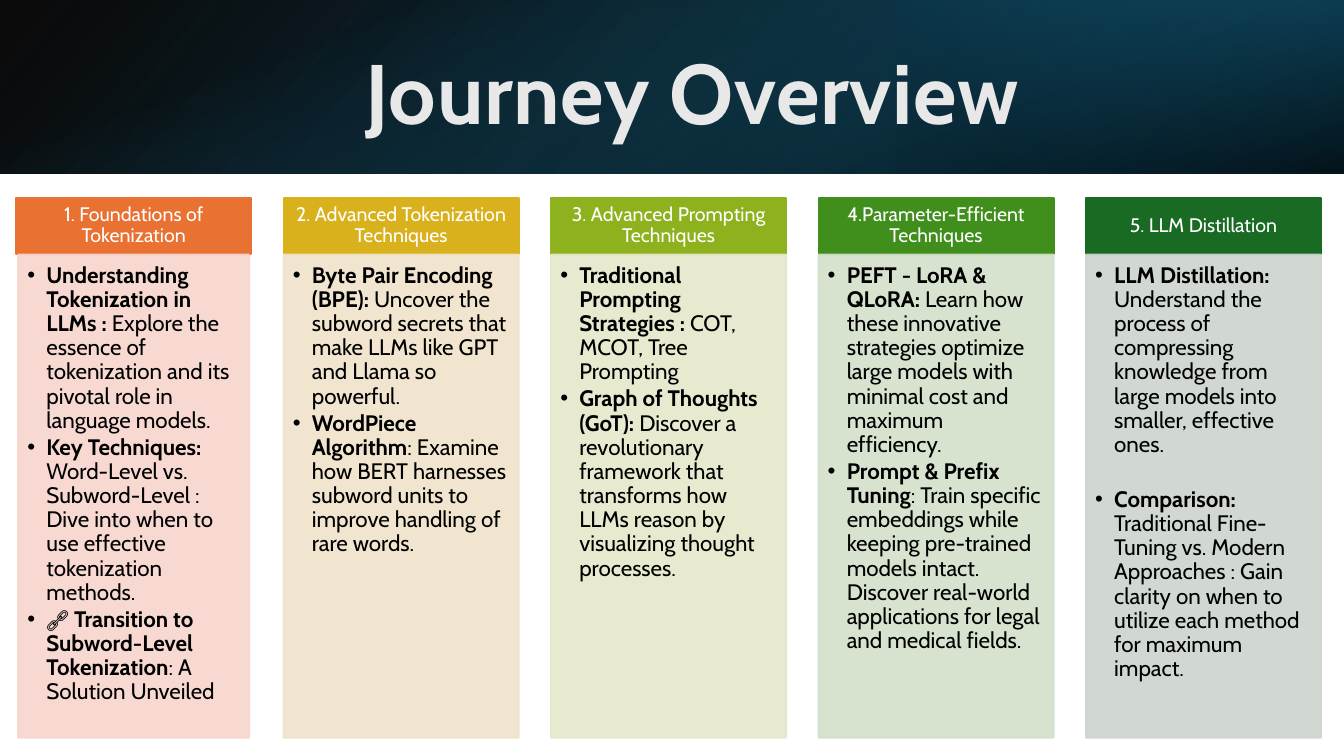
from lxml.etree import SubElement
from pptx import Presentation
from pptx.dml.color import RGBColor as RGB
from pptx.enum.shapes import MSO_SHAPE as SHAPE
from pptx.enum.text import MSO_ANCHOR as ANCHOR, MSO_AUTO_SIZE as AUTO_SIZE, PP_ALIGN as ALIGN
from pptx.oxml.ns import qn
from pptx.util import Cm, Pt

TITLE = "Journey Overview"

# heading, heading colour, body colour, body inset (cm), bullets as (bold lead, rest)
COLUMNS = [
    ("1. Foundations of Tokenization", "E97132", "F7D5CE", 0.05, [
        ("Understanding Tokenization in LLMs : ",
         "Explore the essence of tokenization and its pivotal role in language models."),
        ("Key Techniques: ",
         "Word-Level vs. Subword-Level : Dive into when to use effective tokenization methods."),
        ("🔗 Transition to Subword-Level Tokenization", ": A Solution Unveiled"),
    ]),
    ("2. Advanced Tokenization Techniques", "D8B11D", "F0E3CB", 0, [
        ("Byte Pair Encoding (BPE): ",
         "Uncover the subword secrets that make LLMs like GPT and Llama so powerful."),
        ("WordPiece Algorithm",
         ": Examine how BERT harnesses subword units to improve handling of rare words."),
    ]),
    ("3. Advanced Prompting Techniques", "8EB21E", "E5E8CA", 0, [
        ("Traditional Prompting Strategies : ", "COT, MCOT, Tree Prompting"),
        ("Graph of Thoughts (GoT): ",
         "Discover a revolutionary framework that transforms how LLMs reason "
         "by visualizing thought processes."),
    ]),
    ("4.Parameter-Efficient Techniques", "408E1C", "D3DFCA", 0, [
        ("PEFT - LoRA & QLoRA: ",
         "Learn how these innovative strategies optimize large models "
         "with minimal cost and maximum efficiency."),
        ("Prompt & Prefix Tuning",
         ": Train specific embeddings while keeping pre-trained models intact. "
         "Discover real-world applications for legal and medical fields."),
    ]),
    ("5. LLM Distillation", "196B24", "CCD4CD", 0, [
        ("LLM Distillation: ",
         "Understand the process of compressing knowledge from large models "
         "into smaller, effective ones."),
        ("Comparison: ",
         "Traditional Fine-Tuning vs. Modern Approaches : Gain clarity on when "
         "to utilize each method for maximum impact."),
    ]),
]
SPACED_BULLET = "Comparison: "

# left, width (cm), clockwise angle, stops as (position %, colour, opacity %)
BANNER_LAYERS = [
    (0, 33.87, 40, [(0, "000000", 96), (100, "104862", 100)]),
    (22.58, 11.29, 320, [(19, "0B3041", 68), (100, "156082", 79)]),
    (0, 33.87, 70, [(23, "156082", 0), (99, "000000", 74)]),
]


class Theme:
    font = "Cabin"
    title_color, heading_color, body_color = "E8E8E8", "FFFFFF", "000000"
    title_size, heading_size, body_size = 60.3, 14, 16
    body_opacity = 90
    outline = 1.5


BANNER_HEIGHT = 4.37
FIRST_LEFT, PITCH, COLUMN_WIDTH = 0.41, 6.74, 5.92
HEADING_TOP, HEADING_HEIGHT = 4.98, 1.42
BODY_TOP, BODY_HEIGHT = 6.42, 12.17
INDENT = 0.48


def set_opacity(element, percents):
    """Give the colours inside the element these opacities, in order."""
    for color, percent in zip(element.iter(qn("a:srgbClr")), percents):
        SubElement(color, qn("a:alpha")).set("val", str(percent * 1000))


def add_rectangle(slide, left, top, width, height):
    box = slide.shapes.add_shape(
        SHAPE.RECTANGLE, Cm(left), Cm(top), Cm(width), Cm(height))
    box.shadow.inherit = False
    return box


def add_banner_layer(slide, left, width, angle, stops):
    box = add_rectangle(slide, left, 0, width, BANNER_HEIGHT)
    box.line.fill.background()
    box.fill.gradient()
    box.fill.gradient_angle = 360 - angle
    for stop, (position, color, _) in zip(box.fill.gradient_stops, stops):
        stop.position = position / 100
        stop.color.rgb = RGB.from_string(color)
    set_opacity(box._element.spPr, [opacity for _, _, opacity in stops])


def add_panel(slide, place, color, opacity=100):
    box = add_rectangle(slide, *place)
    box.fill.solid()
    box.fill.fore_color.rgb = RGB.from_string(color)
    box.line.color.rgb = RGB.from_string(color)
    box.line.width = Pt(Theme.outline)
    if opacity < 100:
        set_opacity(box._element.spPr, [opacity, opacity])
    return box


def set_frame(frame, anchor, insets):
    """Set the wrap, anchor and left, top, right and bottom insets in cm."""
    values = {"word_wrap": True, "auto_size": AUTO_SIZE.NONE, "vertical_anchor": anchor}
    for side, inset in zip(("left", "top", "right", "bottom"), insets):
        values["margin_" + side] = Cm(inset)
    for name, value in values.items():
        setattr(frame, name, value)


def add_span(para, text, size, color, bold=False):
    span = para.add_run()
    span.text = text
    for name, value in {"name": Theme.font, "size": Pt(size), "bold": bold}.items():
        setattr(span.font, name, value)
    span.font.color.rgb = RGB.from_string(color)
    return span


def format_para(para, align, after=0):
    for name, value in {"alignment": align, "line_spacing": 0.9,
                        "space_before": Pt(0), "space_after": Pt(after)}.items():
        setattr(para, name, value)


def add_bullet(para, lead, rest):
    para.level = 1
    format_para(para, ALIGN.LEFT, after=2)
    if lead == SPACED_BULLET:
        para.space_before = Pt(20)
    properties = para._p.get_or_add_pPr()
    properties.set("marL", str(Cm(INDENT)))
    properties.set("indent", str(-Cm(INDENT)))
    SubElement(properties, qn("a:buFont")).set("typeface", "Arial")
    SubElement(properties, qn("a:buChar")).set("char", "•")
    add_span(para, lead, Theme.body_size, Theme.body_color, bold=True)
    add_span(para, rest, Theme.body_size, Theme.body_color)


def add_column(slide, left, heading, heading_fill, body_fill, inset, bullets):
    box = add_panel(
        slide, (left, HEADING_TOP, COLUMN_WIDTH, HEADING_HEIGHT), heading_fill)
    set_frame(box.text_frame, ANCHOR.MIDDLE, (0.28, 0.15, 0.28, 0.15))
    para = box.text_frame.paragraphs[0]
    format_para(para, ALIGN.CENTER)
    add_span(para, heading, Theme.heading_size, Theme.heading_color)

    place = (left + inset, BODY_TOP, COLUMN_WIDTH - 2 * inset, BODY_HEIGHT)
    frame = add_panel(slide, place, body_fill, Theme.body_opacity).text_frame
    set_frame(frame, ANCHOR.TOP, (0.23, 0.23, 0.3, 0.36))
    for index, (lead, rest) in enumerate(bullets):
        para = frame.add_paragraph() if index else frame.paragraphs[0]
        add_bullet(para, lead, rest)


def place_title(slide):
    title = slide.shapes.title
    for name, value in {"left": 3.51, "top": 1.7, "width": 27.89, "height": 2.44}.items():
        setattr(title, name, Cm(value))
    set_frame(title.text_frame, ANCHOR.MIDDLE, (0.25, 0, 0.25, 0.94))
    para = title.text_frame.paragraphs[0]
    format_para(para, ALIGN.CENTER)
    span = add_span(para, TITLE, Theme.title_size, Theme.title_color, bold=True)
    span._r.get_or_add_rPr().set("spc", "50")
    # The title goes in front of the banner
    slide.shapes._spTree.append(title._element)


def main():
    deck = Presentation()
    deck.slide_width, deck.slide_height = Cm(33.87), Cm(19.05)
    page = deck.slides.add_slide(deck.slide_layouts[5])
    for layer in BANNER_LAYERS:
        add_banner_layer(page, *layer)
    place_title(page)
    for index, column in enumerate(COLUMNS):
        add_column(page, FIRST_LEFT + index * PITCH, *column)
    deck.save("out.pptx")


if __name__ == "__main__":
    main()
